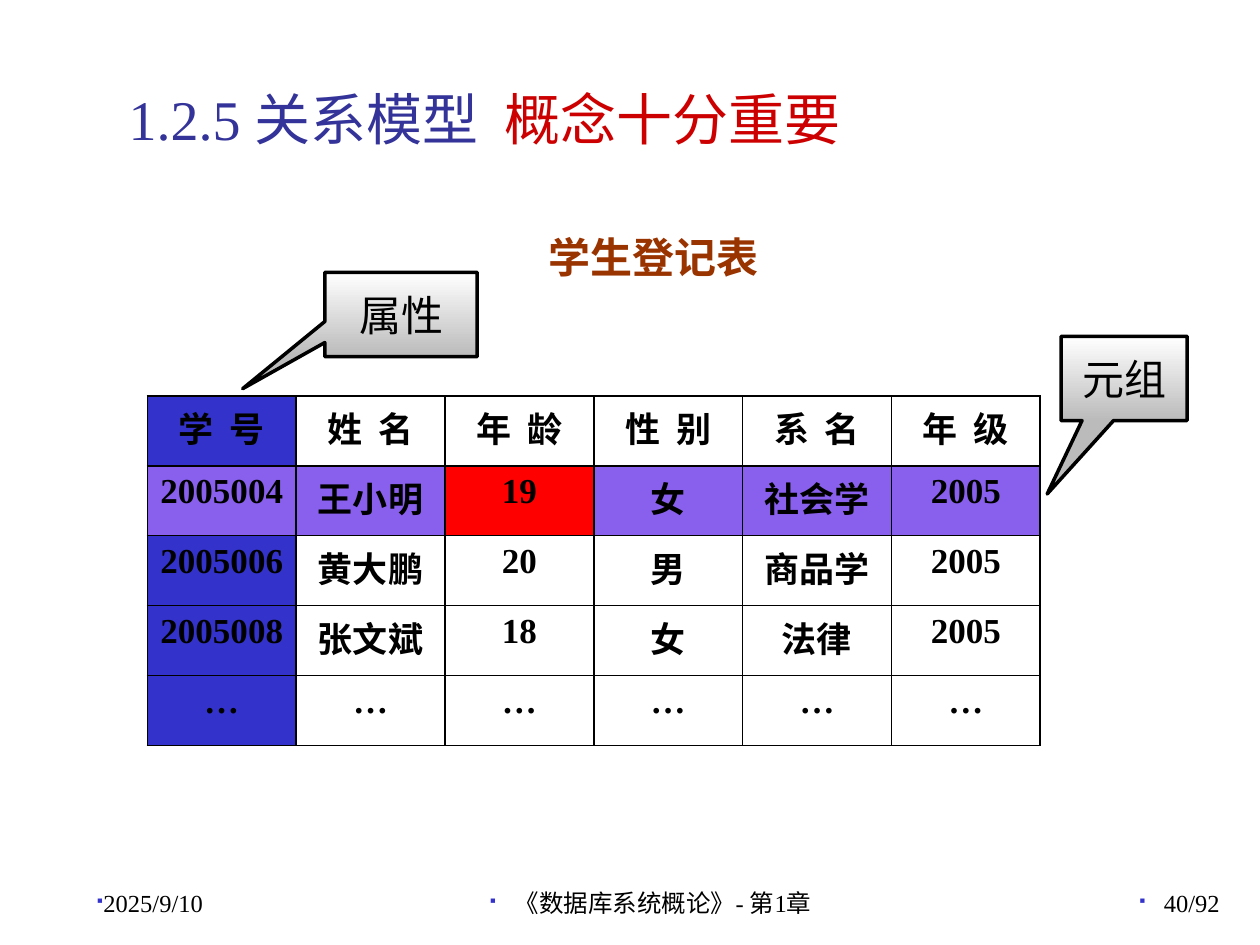
from lxml import etree
from pptx import Presentation
from pptx import util as u
from pptx.dml.color import RGBColor
from pptx.enum import shapes, text
from pptx.oxml import ns

Cm, Pt = u.Cm, u.Pt
ALIGN, ANCHOR = text.PP_ALIGN, text.MSO_ANCHOR
COLORS = {
    "ink": "000000", "title": "333399", "stress": "CC0000", "caption": "993300",
    "attribute": "3333CC", "tuple": "8960EE", "value": "FF0000",
    "light": "FFFFFF", "shade": "BBBBBB",
}


def rgb(name):
    return RGBColor.from_string(COLORS[name])


def write(frame, *parts, size=14, color="ink", font="Times New Roman", bold=False,
          align=ALIGN.LEFT, anchor=ANCHOR.BOTTOM, bullet_gap=None):
    frame.vertical_anchor = anchor
    line = frame.paragraphs[0]
    line.alignment = align
    if bullet_gap is not None:
        props = line._p.get_or_add_pPr()
        props.set("marL", str(Cm(bullet_gap)))
        props.set("indent", str(-Cm(bullet_gap)))
        bullet_color = etree.SubElement(props, ns.qn("a:buClr"))
        etree.SubElement(bullet_color, ns.qn("a:srgbClr"), val=COLORS["attribute"])
        etree.SubElement(props, ns.qn("a:buSzPct"), val="60000")
        etree.SubElement(props, ns.qn("a:buFont"), typeface="Wingdings")
        etree.SubElement(props, ns.qn("a:buChar"), char="§")
    for words, part_color in parts:
        run = line.add_run()
        run.text = words
        run.font.size = Pt(size)
        run.font.name = font
        run.font.bold = bold
        run.font.color.rgb = rgb(part_color or color)


deck = Presentation()
deck.slide_width, deck.slide_height = Cm(25.4), Cm(19.05)
slide = deck.slides.add_slide(deck.slide_layouts[5])

title = slide.shapes.title
title.left, title.top, title.width, title.height = Cm(2.34), Cm(1.07), Cm(22.5), Cm(2.11)
title.text_frame.auto_size = text.MSO_AUTO_SIZE.NONE
write(title.text_frame, ("1.2.5 关系模型  ", "title"), ("概念十分重要", "stress"), size=32)

footers = [
    ("2025/9/10", 1.7, 5.28, ALIGN.LEFT, 0),
    ("《数据库系统概论》- 第1章", 9.09, 8.05, ALIGN.CENTER, 0.5),
    ("40/92", 19.56, 5.28, ALIGN.RIGHT, 0.5),
]
for words, left, width, align, gap in footers:
    footer = slide.shapes.add_textbox(Cm(left), Cm(17.35), Cm(width), Cm(1.27)).text_frame
    footer.word_wrap = True
    write(footer, (words, None), align=align, bullet_gap=gap)

caption = slide.shapes.add_textbox(Cm(10.8), Cm(4.55), Cm(4.8), Cm(1.3)).text_frame
caption.word_wrap = False
caption.auto_size = text.MSO_AUTO_SIZE.SHAPE_TO_FIT_TEXT
write(caption, ("学生登记表", None), size=24, color="caption", font="Roboto", bold=True,
      anchor=ANCHOR.TOP)

students = [
    ["学  号", "姓  名", "年  龄", "性  别", "系  名", "年  级"],
    ["2005004", "王小明", "19", "女", "社会学", "2005"],
    ["2005006", "黄大鹏", "20", "男", "商品学", "2005"],
    ["2005008", "张文斌", "18", "女", "法律", "2005"],
    ["…"] * 6,
]
register = slide.shapes.add_table(5, 6, Cm(2.97), Cm(7.98), Cm(18), Cm(7.05)).table
register.first_row = register.horz_banding = False
for r, student in enumerate(students):
    for c, words in enumerate(student):
        cell = register.cell(r, c)
        write(cell.text_frame, (words, None), size=20, bold=True, align=ALIGN.CENTER,
              anchor=ANCHOR.TOP)
        cell_props = cell._tc.get_or_add_tcPr()
        for side in ("lnL", "lnR", "lnT", "lnB"):
            border = etree.SubElement(cell_props, ns.qn(f"a:{side}"), w=str(Pt(1)))
            border_fill = etree.SubElement(border, ns.qn("a:solidFill"))
            etree.SubElement(border_fill, ns.qn("a:srgbClr"), val=COLORS["ink"])
        if (r, c) == (1, 2):
            mark = "value"
        elif r == 1:
            mark = "tuple"
        else:
            mark = "attribute" if c == 0 else None
        if mark:
            cell.fill.solid()
            cell.fill.fore_color.rgb = rgb(mark)
        else:
            cell.fill.background()

callouts = [
    ("属性", 6.55, 5.49, 3.07, (-1.04, 0.88)),
    ("元组", 21.39, 6.78, 2.54, (-0.61, 1.37)),
]
for words, left, top, width, tip in callouts:
    callout = slide.shapes.add_shape(shapes.MSO_SHAPE.RECTANGULAR_CALLOUT,
                                     Cm(left), Cm(top), Cm(width), Cm(1.7))
    callout.shadow.inherit = False
    callout.adjustments[0], callout.adjustments[1] = tip
    callout.fill.gradient()
    callout.fill.gradient_angle = 270
    for stop, shade in zip(callout.fill.gradient_stops, ("light", "shade")):
        stop.color.rgb = rgb(shade)
    callout.line.color.rgb = rgb("ink")
    callout.line.width = Pt(2)
    write(callout.text_frame, (words, None), size=24, align=ALIGN.CENTER, anchor=ANCHOR.MIDDLE)

deck.save("out.pptx")
